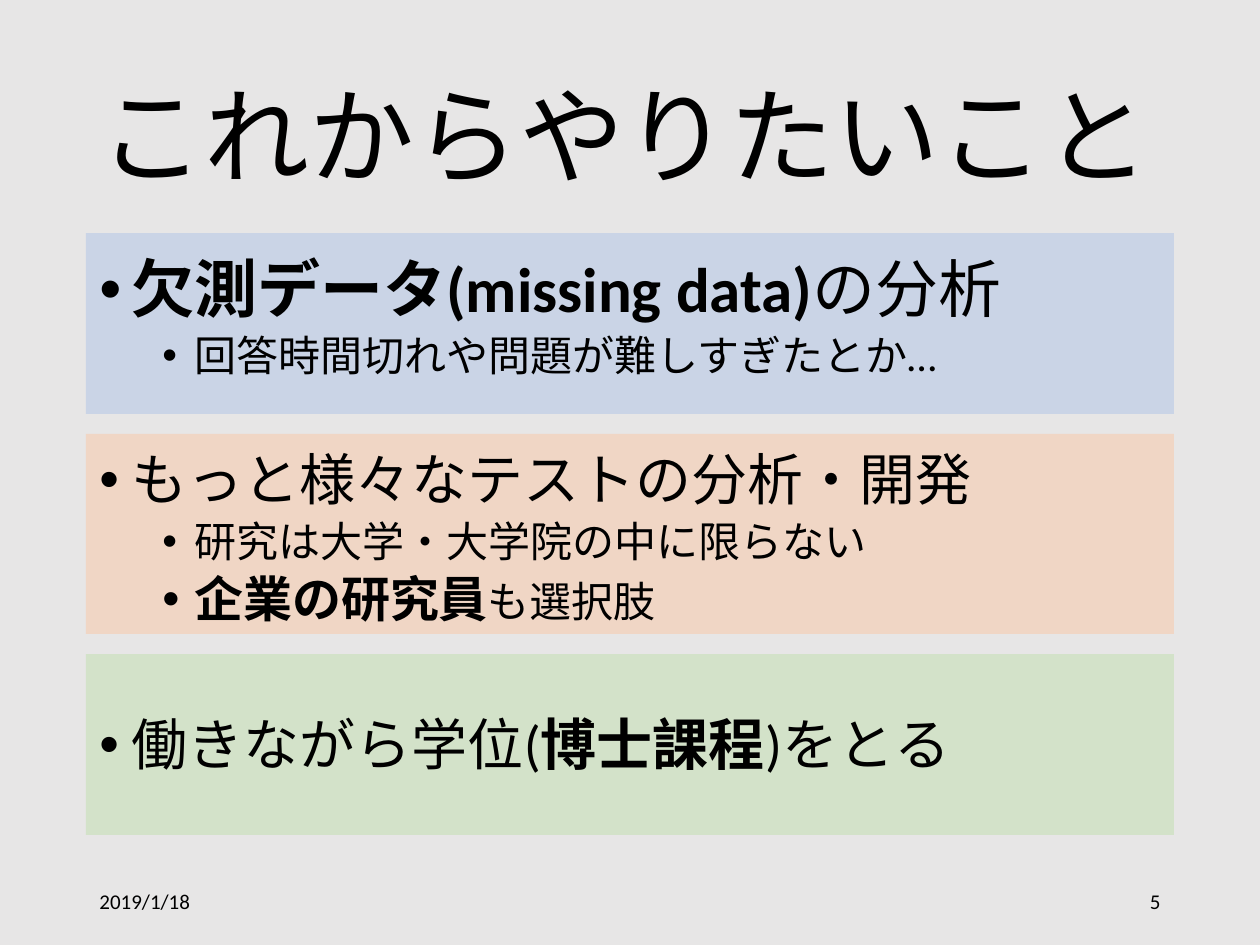
from dataclasses import dataclass

from lxml.etree import SubElement
from pptx import Presentation
from pptx.dml.color import RGBColor
from pptx.enum.shapes import MSO_SHAPE
from pptx.enum.text import MSO_ANCHOR, PP_ALIGN
from pptx.oxml.ns import qn
from pptx.util import Emu, Pt

SCALE = 914400 // 126


@dataclass(frozen=True)
class Theme:
    """Colours, font and type sizes of the slide."""
    font: str = "Calibri"
    ink: str = "000000"
    back: str = "E7E6E6"
    bands: tuple = ("B4C7E7", "F8CBAD", "C5E0B4")
    alpha: int = 57
    title: int = 60
    huge: int = 36
    main: int = 32
    key: int = 28
    sub: int = 24
    foot: int = 12


THEME = Theme()

# Each point: level, size, space before, runs of (text, bold, own size)
POINTS = [
    (0, THEME.huge, 10, [("欠測データ(missing data)", True, None),
                         ("の分析", False, None)]),
    (1, THEME.sub, 5, [("回答時間切れや問題が難しすぎたとか…", False, None)]),
    (0, THEME.main, 41, [("もっと様々なテストの分析・開発", False, None)]),
    (1, THEME.sub, 5, [("研究は大学・大学院の中に限らない", False, None)]),
    (1, THEME.sub, 5, [("企業の研究員", True, THEME.key),
                       ("も選択肢", False, None)]),
    (0, THEME.main, 51, [("働きながら学位(", False, None),
                         ("博士課程", True, None),
                         (")をとる", False, None)]),
]


def px(num):
    """Turn pixels into EMU."""
    return Emu(num * SCALE)


def add_band(slide, top, high, color):
    """Draw one translucent band behind the text."""
    band = slide.shapes.add_shape(MSO_SHAPE.RECTANGLE, px(86), px(top),
                                  px(1088), px(high))
    band.shadow.inherit = False
    band.line.fill.background()
    band.fill.solid()
    band.fill.fore_color.rgb = RGBColor.from_string(color)
    tint = band.fill._xPr.find(qn("a:solidFill"))[0]
    SubElement(tint, qn("a:alpha"), val=str(THEME.alpha * 1000))


def add_frame(slide, left, top, width, high, anchor=MSO_ANCHOR.MIDDLE):
    """Add a wrapping text box and return its frame."""
    box = slide.shapes.add_textbox(px(left), px(top), px(width), px(high))
    frame = box.text_frame
    frame.word_wrap = True
    frame.vertical_anchor = anchor
    return frame


def set_font(para, size):
    """Give a paragraph the theme font for both scripts."""
    font = para.font
    font.size = Pt(size)
    font.color.rgb = RGBColor.from_string(THEME.ink)
    font.name = THEME.font
    SubElement(font._rPr, qn("a:ea"), typeface=THEME.font)
    for run in para.runs:
        run.font.name = THEME.font
        SubElement(run.font._rPr, qn("a:ea"), typeface=THEME.font)


def add_label(slide, spot, text, size, align=PP_ALIGN.LEFT, space=1.0):
    """Add one line of text."""
    para = add_frame(slide, *spot).paragraphs[0]
    para.add_run().text = text
    para.alignment = align
    para.line_spacing = space
    set_font(para, size)


def set_bullet(para, level):
    """Indent a paragraph and hang a bullet on it."""
    para.level = level
    props = para._p.get_or_add_pPr()
    props.set("marL", str(px(32 + 63 * level)))
    props.set("indent", str(px(-32)))
    SubElement(props, qn("a:buFont"), typeface="Arial")
    SubElement(props, qn("a:buChar"), char="•")


def add_points(slide):
    """Write the bulleted list over the bands."""
    frame = add_frame(slide, 87, 252, 1086, 600, MSO_ANCHOR.TOP)
    for num, (level, size, before, runs) in enumerate(POINTS):
        para = frame.add_paragraph() if num else frame.paragraphs[0]
        para.line_spacing = 0.9
        para.space_before = Pt(before)
        set_bullet(para, level)
        for text, bold, own in runs:
            run = para.add_run()
            run.text = text
            run.font.bold = bold
            if own:
                run.font.size = Pt(own)
        set_font(para, size)


def main():
    """Build and save the slide."""
    deck = Presentation()
    deck.slide_width, deck.slide_height = px(1260), px(945)
    slide = deck.slides.add_slide(deck.slide_layouts[6])
    fill = slide.background.fill
    fill.solid()
    fill.fore_color.rgb = RGBColor.from_string(THEME.back)

    top = 233
    for color, high in zip(THEME.bands, (181, 200, 181)):
        add_band(slide, top, high, color)
        top += high + 20

    add_label(slide, (87, 50, 1086, 183), "これからやりたいこと",
              THEME.title, space=0.9)
    add_points(slide)
    add_label(slide, (87, 876, 284, 50), "2019/1/18", THEME.foot)
    add_label(slide, (889, 876, 284, 50), "5", THEME.foot, PP_ALIGN.RIGHT)
    deck.save("out.pptx")


main()
